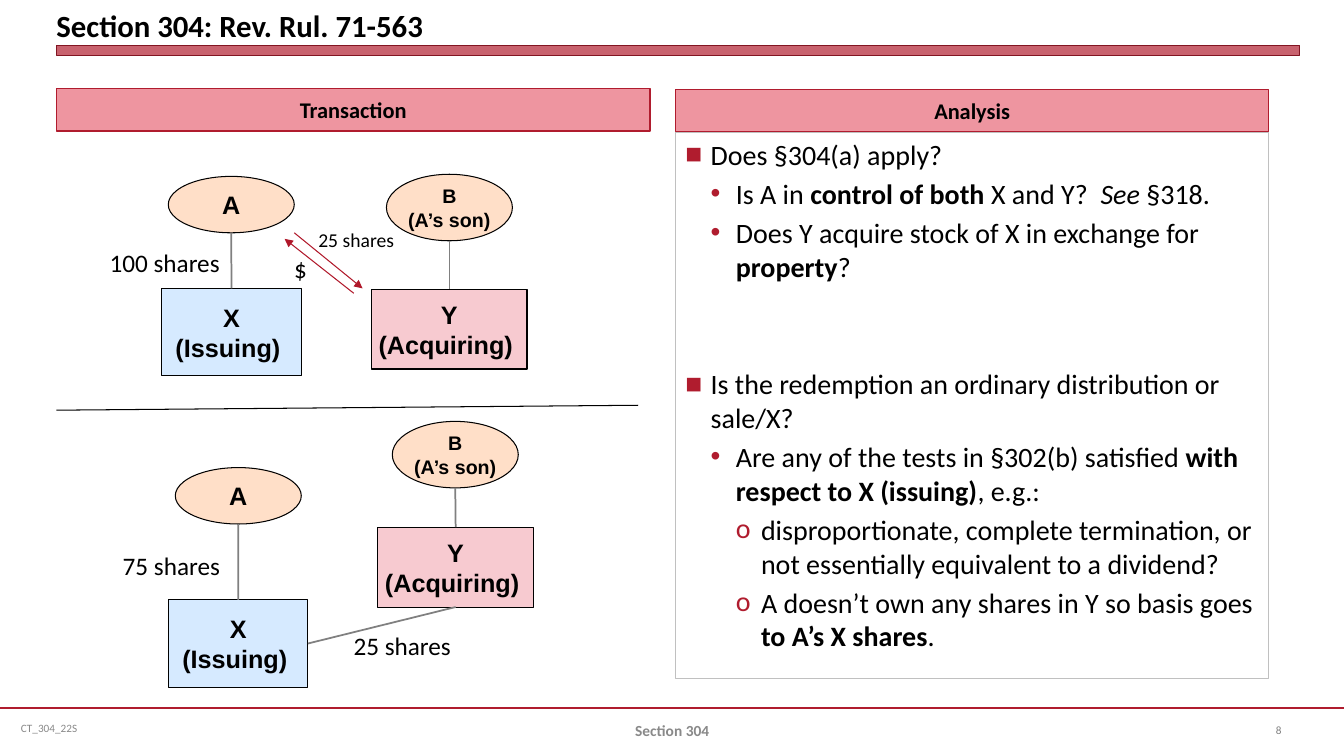
from dataclasses import dataclass

from lxml import etree
from pptx import Presentation
from pptx.dml.color import RGBColor
from pptx.enum.shapes import MSO_CONNECTOR, MSO_SHAPE
from pptx.enum.text import MSO_ANCHOR, MSO_AUTO_SIZE, PP_ALIGN
from pptx.oxml.ns import qn
from pptx.util import Pt

RECT, OVAL, STRAIGHT = MSO_SHAPE.RECTANGLE, MSO_SHAPE.OVAL, MSO_CONNECTOR.STRAIGHT
TOP, MIDDLE, BOTTOM = MSO_ANCHOR.TOP, MSO_ANCHOR.MIDDLE, MSO_ANCHOR.BOTTOM
LEFT, CENTER = PP_ALIGN.LEFT, PP_ALIGN.CENTER
NO_FIT, GROW = MSO_AUTO_SIZE.NONE, MSO_AUTO_SIZE.SHAPE_TO_FIT_TEXT
SIDE_TOP, SIDE_BOTTOM, SIDE_RIGHT = 0, 2, 3


@dataclass(frozen=True)
class Theme:
    text_font: str = "Calibri"
    chart_font: str = "Arial"
    black: str = "000000"
    white: str = "FFFFFF"
    accent: str = "B01C2E"
    accent_dark: str = "821522"
    arrow: str = "B0182A"
    header: str = "EE95A0"
    issuing: str = "D6EAFF"
    acquiring: str = "F7CAD0"
    owner: str = "FFDFC8"
    frame: str = "C0C0C0"
    link: str = "808080"
    footer: str = "898989"
    title_size: float = 22
    body_size: float = 20
    label_size: float = 18
    header_size: float = 16
    small_size: float = 14
    footer_size: float = 11
    tiny_size: float = 8


T = Theme()
BULLETS = "■•o"
MARGIN, PANEL_W, HEADER_H = 40.3, 424, 30.2
ANALYSIS_X, ANALYSIS_Y = 482.4, 64.1

# Each item: level, space before, then (text, style) runs
ANALYSIS = [
    (0, 0, [("Does §304(a) apply?", "")]),
    (1, 4, [("Is A in ", ""), ("control of both ", "b"), ("X and Y?  ", ""),
            ("See ", "i"), ("§318.", "")]),
    (1, 4, [("Does Y acquire stock of X in exchange for ", ""),
            ("property", "b"), ("?", "")]),
    (0, 60, [("Is the redemption an ordinary distribution or sale/X?", "")]),
    (1, 4, [("Are any of the tests in §302(b) satisfied ", ""),
            ("with respect to X (issuing)", "b"), (", e.g.:", "")]),
    (2, 4, [("disproportionate, complete termination, or not essentially "
             "equivalent to a dividend?", "")]),
    (2, 4, [("A doesn’t own any shares in Y so basis goes ", ""),
            ("to A’s X shares", "b"), (".", "")]),
]


def rgb(color):
    return RGBColor.from_string(color)


def place(sp, x, y, w, h):
    sp.left, sp.top, sp.width, sp.height = Pt(x), Pt(y), Pt(w), Pt(h)


def paint(sp, fill, line, width=0.75):
    sp.fill.solid()
    sp.fill.fore_color.rgb = rgb(fill)
    sp.line.color.rgb = rgb(line)
    sp.line.width = Pt(width)


def style_run(r, size, color=T.black, bold=False, italic=False, font=T.text_font):
    r.font.name, r.font.size = font, Pt(size)
    r.font.bold, r.font.italic = bold, italic
    r.font.color.rgb = rgb(color)


def write(sp, text, size, align=LEFT, anchor=TOP, wrap=True, **style):
    tf = sp.text_frame
    tf.text = text
    tf.word_wrap, tf.vertical_anchor = wrap, anchor
    for p in tf.paragraphs:
        p.alignment, p.space_before = align, Pt(0)
        for r in p.runs:
            style_run(r, size, **style)
    return tf


def add_node(s, kind, x, y, w, h, fill, text, size=T.label_size):
    sp = s.shapes.add_shape(kind, Pt(x), Pt(y), Pt(w), Pt(h))
    sp.shadow.inherit = False
    paint(sp, fill, T.black)
    write(sp, text, size, CENTER, MIDDLE, False, bold=True, font=T.chart_font)
    return sp


def add_text(s, x, y, w, h, text, size, **options):
    sp = s.shapes.add_textbox(Pt(x), Pt(y), Pt(w), Pt(h))
    return write(sp, text, size, **options)


def add_label(s, x, y, w, h, text, size=T.label_size):
    add_text(s, x, y, w, h, text, size, wrap=False).auto_size = GROW


def add_line(s, x1, y1, x2, y2, color, width, arrow=False):
    line = s.shapes.add_connector(STRAIGHT, Pt(x1), Pt(y1), Pt(x2), Pt(y2))
    line.line.color.rgb = rgb(color)
    line.line.width = Pt(width)
    if arrow:
        etree.SubElement(line.line._get_or_add_ln(), qn("a:tailEnd"), type="triangle")
    etree.SubElement(line._element.spPr, qn("a:effectLst"))
    return line


def add_holding(s, owner, company):
    """Draw an owner above a company and the line that joins them."""
    oval = add_node(s, OVAL, *owner)
    box = add_node(s, RECT, *company)
    x, y = (oval.left + oval.width / 2) / Pt(1), (oval.top + oval.height) / Pt(1)
    add_line(s, x, y, x, y + 1, T.link, 1.25).end_connect(box, SIDE_TOP)
    return box


def add_structure(s, a, x, b, y):
    """Draw both holdings from the top-left corners of their four shapes."""
    issuing = add_holding(s, (*a, 90, 40.3, T.owner, "A"),
                          (*x, 99.5, 62.5, T.issuing, "X\n(Issuing) "))
    acquiring = add_holding(s, (*b, 90, 47.5, T.owner, "B\n(A’s son)", T.small_size),
                            (*y, 111, 57, T.acquiring, "Y\n(Acquiring) "))
    return issuing, acquiring


def add_header(sp, x, y, text):
    place(sp, x, y, PANEL_W, HEADER_H)
    paint(sp, T.header, T.accent)
    write(sp, text, T.header_size, CENTER, MIDDLE, bold=True)


def set_bullet(p, level):
    p.level = level
    pPr = p._p.get_or_add_pPr()
    pPr.set("marL", str(Pt(18 * (level + 1))))
    pPr.set("indent", str(Pt(-18)))
    color = etree.SubElement(pPr, qn("a:buClr"))
    etree.SubElement(color, qn("a:srgbClr"), val=T.accent)
    etree.SubElement(pPr, qn("a:buFont"),
                     typeface=T.text_font if level == 2 else T.chart_font)
    etree.SubElement(pPr, qn("a:buChar"), char=BULLETS[level])


def fill_analysis(sp):
    place(sp, ANALYSIS_X, ANALYSIS_Y + HEADER_H, PANEL_W, 390.2)
    paint(sp, T.white, T.frame)
    tf = sp.text_frame
    tf.auto_size, tf.vertical_anchor, tf.word_wrap = NO_FIT, TOP, True
    for i, (level, gap, runs) in enumerate(ANALYSIS):
        p = tf.add_paragraph() if i else tf.paragraphs[0]
        set_bullet(p, level)
        p.space_before = Pt(gap)
        for text, mark in runs:
            r = p.add_run()
            r.text = text
            style_run(r, T.body_size, bold=mark == "b", italic=mark == "i")


def add_frame(s):
    # Title bar, footer rule and footer texts
    add_line(s, 0, 505.5, 960, 505.5, T.accent, 1.25)
    bar = s.shapes.add_shape(RECT, Pt(MARGIN), Pt(32.2), Pt(888), Pt(7.2))
    bar.shadow.inherit = False
    paint(bar, T.accent, T.accent_dark, 0.25)
    color = bar._element.spPr.find(qn("a:solidFill"))[0]
    etree.SubElement(color, qn("a:alpha"), val="69000")
    add_text(s, 7.9, 505.5, 247.7, 28.8, "CT_304_22S", T.tiny_size,
             anchor=MIDDLE, color=T.footer)
    add_text(s, 328.3, 507.6, 303.8, 28.8, "Section 304", T.footer_size,
             align=CENTER, anchor=MIDDLE, color=T.footer, bold=True)
    add_text(s, 904.3, 506.9, 48.2, 28.8, "8", T.tiny_size,
             anchor=MIDDLE, color=T.link)


def main():
    prs = Presentation()
    prs.slide_width, prs.slide_height = Pt(960), Pt(540)
    s = prs.slides.add_slide(prs.slide_layouts[4])
    add_frame(s)

    # Title and panels
    title, left_head, unused, right_head, body = s.placeholders
    unused._element.getparent().remove(unused._element)
    place(title, MARGIN, 0, 888, 31)
    tf = write(title, "Section 304: Rev. Rul. 71-563", T.title_size,
               anchor=BOTTOM, bold=True)
    tf.auto_size = NO_FIT
    tf.margin_left = tf.margin_top = tf.margin_right = tf.margin_bottom = 0
    add_header(left_head, MARGIN, 63.4, "Transaction")
    add_header(right_head, ANALYSIS_X, ANALYSIS_Y, "Analysis")
    fill_analysis(body)

    # Before the sale, with the exchange of shares for cash
    add_structure(s, (120.2, 126), (115.6, 206), (276, 124.5), (265.5, 206.6))
    add_line(s, 210.2, 166.3, 259, 206, T.arrow, 0.75, arrow=True)
    add_line(s, 252.7, 209.5, 203.3, 170.6, T.arrow, 0.75, arrow=True)
    add_label(s, 71.3, 172.8, 93.6, 29, "100 shares")
    add_label(s, 220.3, 159.2, 69, 24.5, "25 shares", T.small_size)
    add_label(s, 203, 177.3, 24, 29, "$")

    # After the sale
    add_line(s, MARGIN, 293, 455.8, 289.5, T.black, 0.75)
    issuing, acquiring = add_structure(
        s, (125.2, 334), (120.5, 428.4), (280.2, 301), (270, 376.6))
    sold = add_line(s, 325.5, 433.5, 220, 460, T.link, 1.25)
    sold.begin_connect(acquiring, SIDE_BOTTOM)
    sold.end_connect(issuing, SIDE_RIGHT)
    add_label(s, 80.6, 389.5, 85, 29, "75 shares")
    add_label(s, 245.5, 446.4, 85, 29, "25 shares")

    prs.save("out.pptx")


if __name__ == "__main__":
    main()
